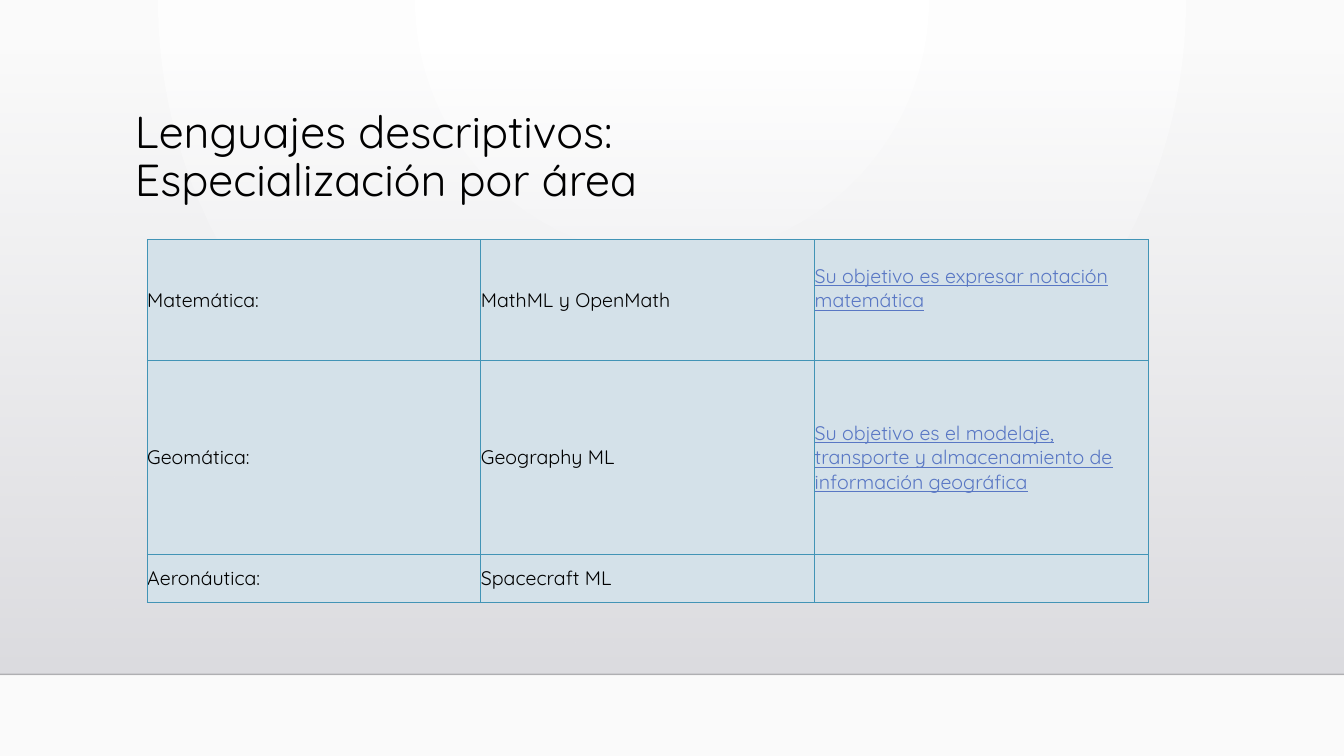
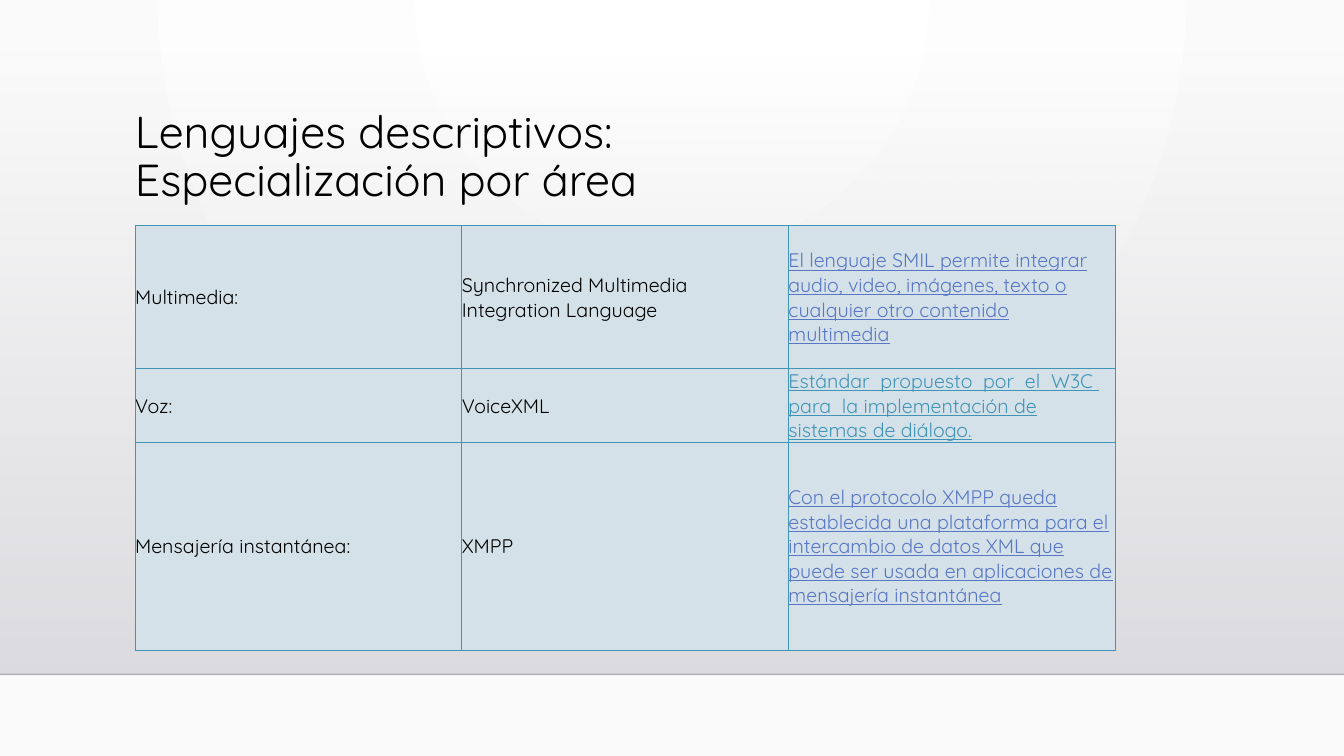
from lxml.etree import SubElement
from pptx import Presentation
from pptx.dml.color import RGBColor
from pptx.enum.shapes import MSO_CONNECTOR, MSO_SHAPE
from pptx.enum.text import MSO_ANCHOR
from pptx.oxml import parse_xml
from pptx.oxml.ns import nsdecls, qn
from pptx.util import Inches, Pt

FONT = "Quicksand"
WIDTH = 13.33
FLOOR = 6.69
TITLE = "Lenguajes descriptivos:\vEspecialización por área"
COLORS = {
    "text": "000000",
    "link": "5977C4",
    "accent": "4294B6",
    "cell": "D4E1E9",
    "center": "FFFFFF",
    "edge": "FAFAFA",
    "band_top": "DCDCE0",
    "band_bottom": "DEDEE2",
    "floor": "000001",
}
LINE_HEIGHT = 0.24

AREAS = [
    [("Matemática:", "text"), ("MathML y OpenMath", "text"),
     ("Su objetivo es expresar notación matemática", "link")],
    [("Geomática:", "text"), ("Geography ML", "text"),
     ("Su objetivo es el modelaje, transporte y almacenamiento de "
      "información geográfica", "link")],
    [("Aeronáutica:", "text"), ("Spacecraft ML", "text"), ("", "text")],
]
MEDIA = [
    [("Multimedia:", "text"),
     ("Synchronized Multimedia Integration Language", "text"),
     ("El lenguaje SMIL permite integrar audio, video, imágenes, texto o "
      "cualquier otro contenido multimedia", "link")],
    [("Voz:", "text"), ("VoiceXML", "text"),
     ("Estándar  propuesto  por  el  W3C  para  la implementación de "
      "sistemas de diálogo.", "accent")],
    [("Mensajería instantánea:", "text"), ("XMPP", "text"),
     ("Con el protocolo XMPP queda establecida una plataforma para el "
      "intercambio de datos XML que puede ser usada en aplicaciones de "
      "mensajería instantánea", "link")],
]


def color(name):
    return RGBColor.from_string(COLORS[name])


def set_gradient(fill, first, last, direction):
    fill.gradient()
    for stop, name, position in zip(fill.gradient_stops, (first, last), (0, 1)):
        stop.color.rgb = color(name)
        stop.position = position
    gradient = fill._xPr.find(qn("a:gradFill"))
    gradient.replace(gradient.find(qn("a:lin")), parse_xml(direction))
    return gradient


def set_alpha(parent, percent):
    tone = next(parent.iter(qn("a:srgbClr")))
    SubElement(tone, qn("a:alpha")).set("val", str(percent * 1000))


def format_text(frame, size, tone):
    for paragraph in frame.paragraphs:
        for span in paragraph.runs:
            span.font.name = FONT
            span.font.size = Pt(size)
            span.font.color.rgb = color(tone)
            if tone != "text":
                span.font.underline = True


def set_backdrop(deck):
    set_gradient(
        deck.slide_master.background.fill, "center", "edge",
        f'<a:path {nsdecls("a")} path="circle">'
        '<a:fillToRect l="43000" t="0" r="43000" b="100000"/></a:path>')


def add_band(page):
    top = 0.51
    band = page.shapes.add_shape(
        MSO_SHAPE.RECTANGLE, 0, Inches(top), Inches(WIDTH), Inches(FLOOR - top))
    band.shadow.inherit = False
    band.line.fill.background()
    gradient = set_gradient(
        band.fill, "band_top", "band_bottom",
        f'<a:lin {nsdecls("a")} ang="5400000" scaled="0"/>')
    set_alpha(gradient, 0)


def add_floor_line(page):
    line = page.shapes.add_connector(
        MSO_CONNECTOR.STRAIGHT, 0, Inches(FLOOR), Inches(WIDTH), Inches(FLOOR))
    line.line.width = Pt(1)
    line.line.color.rgb = color("floor")
    properties = line._element.spPr
    set_alpha(properties, 20)
    SubElement(properties, qn("a:effectLst"))


def add_title(page):
    box = page.shapes.add_textbox(
        Inches(1.24), Inches(1.04), Inches(10.5), Inches(1.15))
    frame = box.text_frame
    frame.word_wrap = True
    frame.text = TITLE
    frame.paragraphs[0].line_spacing = 0.9
    format_text(frame, 32, "text")


def add_borders(cell):
    properties = cell._tc.get_or_add_tcPr()
    for index, side in enumerate(("lnL", "lnR", "lnT", "lnB")):
        properties.insert(index, parse_xml(
            f'<a:{side} {nsdecls("a")} w="{Pt(0.75)}"><a:solidFill>'
            f'<a:srgbClr val="{COLORS["accent"]}"/></a:solidFill></a:{side}>'))


def fill_cell(cell, text, tone):
    cell.margin_left = cell.margin_right = 0
    cell.margin_top = cell.margin_bottom = 0
    cell.vertical_anchor = MSO_ANCHOR.MIDDLE
    cell.fill.solid()
    cell.fill.fore_color.rgb = color("cell")
    add_borders(cell)
    cell.text_frame.text = text
    format_text(cell.text_frame, 14, tone)


def add_language_table(page, left, top, column_width, heights, rows):
    columns = len(rows[0])
    table = page.shapes.add_table(
        len(rows), columns, Inches(left), Inches(top),
        Inches(column_width * columns), Inches(sum(heights))).table
    table.first_row = table.horz_banding = False
    for column in table.columns:
        column.width = Inches(column_width)
    for row, height, entries in zip(table.rows, heights, rows):
        row.height = Inches(height)
        for cell, (text, tone) in zip(row.cells, entries):
            fill_cell(cell, text, tone)
    return table


def add_page(deck):
    page = deck.slides.add_slide(deck.slide_layouts[6])
    add_band(page)
    add_floor_line(page)
    add_title(page)
    return page


def main():
    deck = Presentation()
    deck.slide_width = Inches(WIDTH)
    deck.slide_height = Inches(7.5)
    set_backdrop(deck)
    areas = add_language_table(
        add_page(deck), 1.46, 2.38, 3.31, (1.2, 1.92, 0.48), AREAS)
    areas.cell(0, 2).margin_bottom = Inches(LINE_HEIGHT)
    add_language_table(
        add_page(deck), 1.34, 2.24, 3.24, (1.42, 0.73, 2.06), MEDIA)
    deck.save("out.pptx")


if __name__ == "__main__":
    main()
